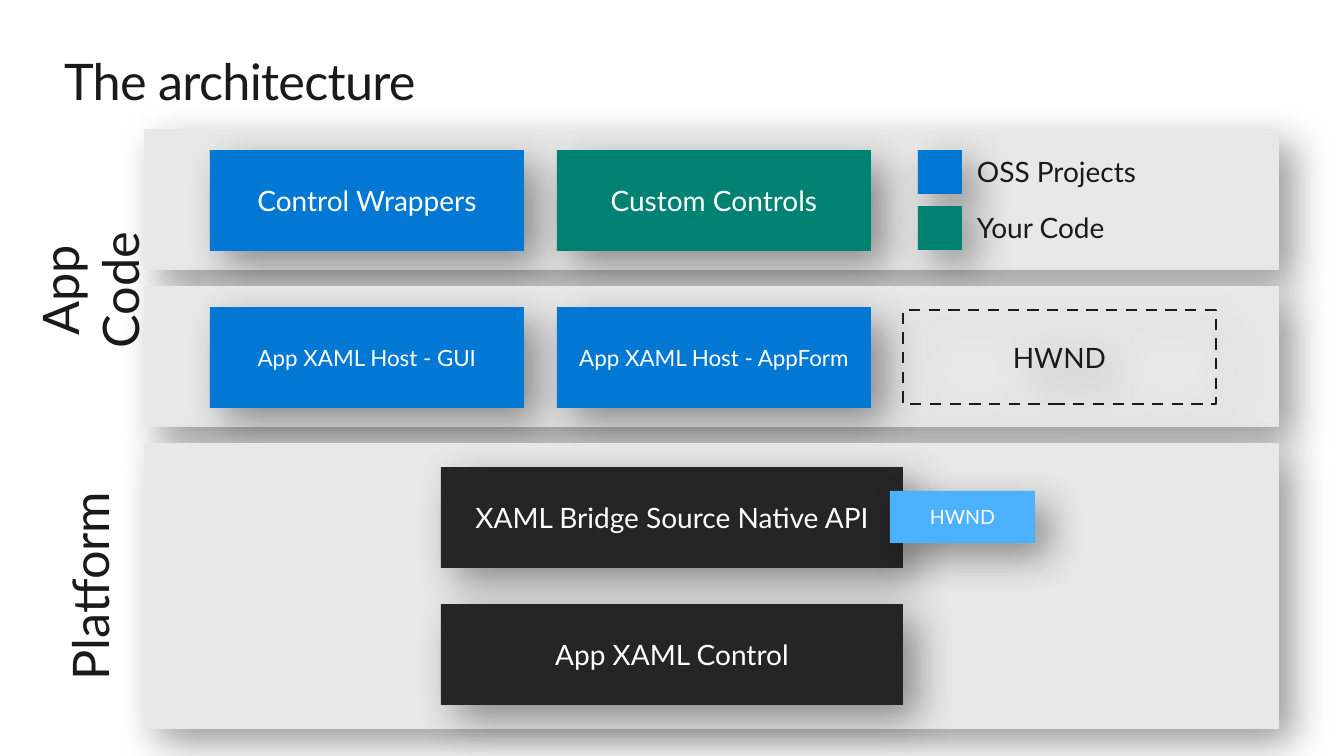
from typing import NamedTuple

from lxml import etree
from pptx import Presentation
from pptx.dml.color import RGBColor
from pptx.enum.dml import MSO_LINE
from pptx.enum.shapes import MSO_SHAPE
from pptx.enum.text import MSO_ANCHOR, MSO_AUTO_SIZE, PP_ALIGN
from pptx.oxml.ns import qn
from pptx.util import Emu, Pt

RECTANGLE = MSO_SHAPE.RECTANGLE
DASH = MSO_LINE.DASH
MIDDLE = MSO_ANCHOR.MIDDLE
NO_AUTOFIT = MSO_AUTO_SIZE.NONE
LEFT, CENTER = PP_ALIGN.LEFT, PP_ALIGN.CENTER
EMU_PER_PX = 914400 / 100.8
TITLE_ONLY = 5


class Theme(NamedTuple):
    font: str = "Lato"
    ink: str = "1A1A1A"
    white: str = "FFFFFF"
    band: str = "E8E8E8"
    oss: str = "0078D4"
    custom: str = "008272"
    platform: str = "252525"
    badge: str = "4CB1FF"
    shadow: str = "000000"
    heading: int = 36
    body: int = 20
    compact: int = 16
    small: int = 14


THEME = Theme()


class Box(NamedTuple):
    left: int
    top: int
    width: int
    height: int

    def within(self, left, top, width, height):
        """Return a box whose offset is measured from this one."""
        return Box(self.left + left, self.top + top, width, height)

    def emu(self):
        return [px(value) for value in self]


def px(value):
    return Emu(round(value * EMU_PER_PX))


def set_values(target, values):
    for name, value in values.items():
        setattr(target, name, value)


def write(shape, text, size, color, align=CENTER, **frame_format):
    frame = shape.text_frame
    set_values(frame, {"word_wrap": True, "auto_size": NO_AUTOFIT,
                       "vertical_anchor": MIDDLE, **frame_format})
    para = frame.paragraphs[0]
    para.alignment = align
    span = para.add_run()
    span.text = text
    set_values(span.font, {"name": THEME.font, "size": Pt(size)})
    span.font.color.rgb = RGBColor.from_string(color)
    return span


def cast_shadow(shape):
    shape.shadow.inherit = False
    effects = shape.element.spPr.find(qn("a:effectLst"))
    shadow = etree.SubElement(effects, qn("a:outerShdw"), blurRad=str(Pt(29)), dist=str(Pt(14)),
                              dir="2700000", algn="tl", rotWithShape="0")
    color = etree.SubElement(shadow, qn("a:srgbClr"), val=THEME.shadow)
    etree.SubElement(color, qn("a:alpha"), val="40000")


def add_block(slide, box, fill, text="", size=THEME.body):
    """Add a shadowed rectangle; without a fill it gets a dashed outline."""
    block = slide.shapes.add_shape(RECTANGLE, *box.emu())
    cast_shadow(block)
    if fill:
        block.fill.solid()
        block.fill.fore_color.rgb = RGBColor.from_string(fill)
        block.line.fill.background()
    else:
        block.fill.background()
        block.line.color.rgb = RGBColor.from_string(THEME.ink)
        set_values(block.line, {"width": Pt(2), "dash_style": DASH})
    if text:
        write(block, text, size, THEME.white if fill else THEME.ink)


def add_title(slide, box, text):
    title = slide.shapes.title
    set_values(title, dict(zip(("left", "top", "width", "height"), box.emu())))
    span = write(title, text, THEME.heading, THEME.ink, LEFT,
                 margin_left=0, margin_right=0, margin_top=0, margin_bottom=0)
    span.font._element.set("spc", "-50")


def add_side_label(slide, box, text):
    """Add text that reads upward, centred on the given upright box."""
    turned = box.within((box.width - box.height) // 2, (box.height - box.width) // 2,
                        box.height, box.width)
    label = slide.shapes.add_textbox(*turned.emu())
    label.rotation = 270
    write(label, text, THEME.heading, THEME.ink, margin_left=px(18), margin_right=px(18))


def add_code_band(slide, box, blocks):
    add_block(slide, box, THEME.band)
    for column, (text, fill, size) in enumerate(blocks):
        add_block(slide, box.within(66 + 347 * column, 21, 314, 101), fill, text, size)


def add_legend(slide, box, entries):
    for row, (text, fill) in enumerate(entries):
        line = box.within(0, 56 * row, box.width, 48)
        add_block(slide, line.within(0, 3, 44, 44), fill)
        caption = slide.shapes.add_textbox(*line.within(49, 0, 197, 48).emu())
        write(caption, text, THEME.body, THEME.ink, LEFT)


def add_platform_band(slide, box, layers, badge):
    add_block(slide, box, THEME.band)
    for row, text in enumerate(layers):
        add_block(slide, box.within(297, 24 + 137 * row, 462, 101), THEME.platform, text)
    add_block(slide, box.within(746, 48, 145, 52), THEME.badge, badge, THEME.small)


def build_architecture(slide):
    add_title(slide, Box(64, 49, 1215, 62), "The architecture")

    controls = Box(144, 129, 1135, 141)
    hosts = controls.within(0, 157, 1135, 141)
    platform = hosts.within(0, 157, 1135, 286)

    add_code_band(slide, controls, [
        ("Control Wrappers", THEME.oss, THEME.body),
        ("Custom Controls", THEME.custom, THEME.body),
    ])
    add_legend(slide, controls.within(774, 18, 246, 104),
               [("OSS Projects", THEME.oss), ("Your Code", THEME.custom)])
    add_code_band(slide, hosts, [
        ("App XAML Host - GUI", THEME.oss, THEME.compact),
        ("App XAML Host - AppForm", THEME.oss, THEME.compact),
    ])
    add_block(slide, hosts.within(759, 24, 313, 94), None, "HWND")
    add_platform_band(slide, platform,
                      ["XAML Bridge Source Native API", "App XAML Control"], "HWND")

    add_side_label(slide, Box(43, 171, 94, 239), "App Code")
    add_side_label(slide, Box(43, 467, 94, 239), "Platform")


def main():
    deck = Presentation()
    deck.slide_width, deck.slide_height = px(1344), px(756)
    build_architecture(deck.slides.add_slide(deck.slide_layouts[TITLE_ONLY]))
    deck.save("out.pptx")


if __name__ == "__main__":
    main()
